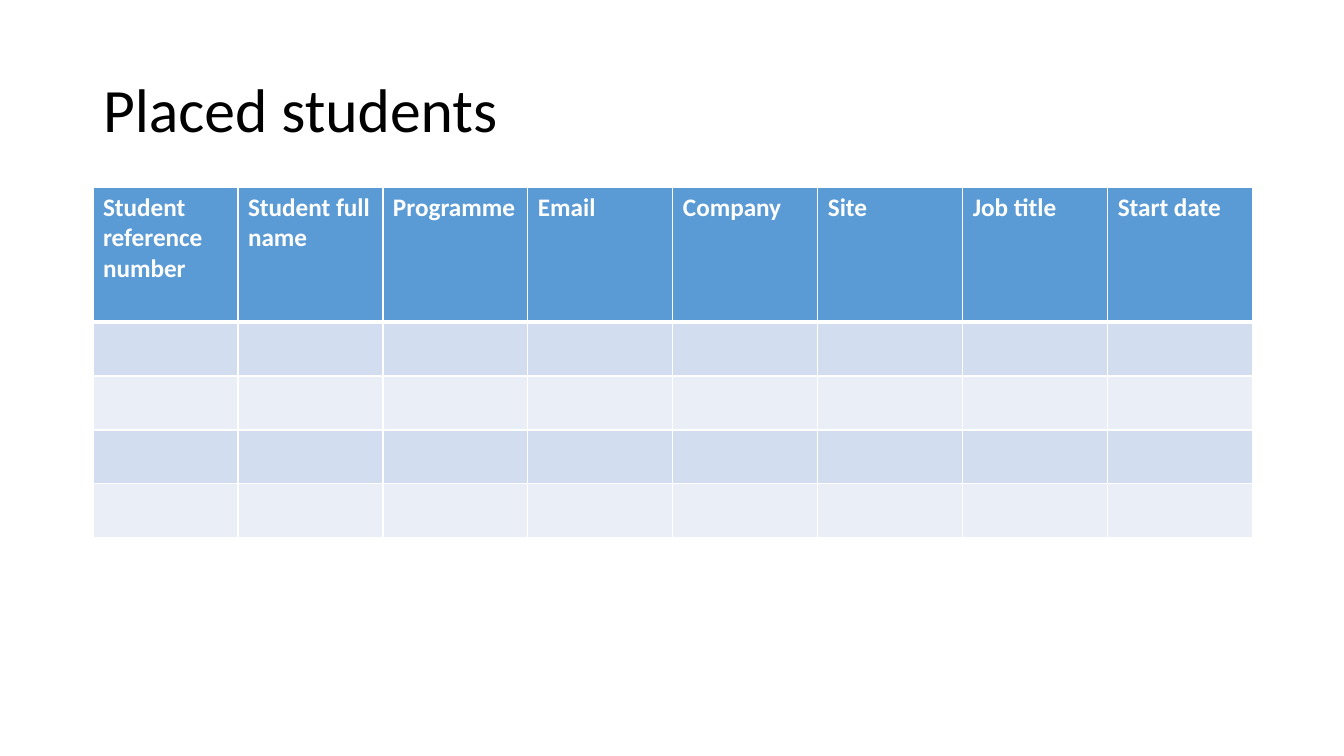
from dataclasses import dataclass

from lxml.etree import SubElement
from pptx import Presentation
from pptx.dml.color import RGBColor
from pptx.enum.text import MSO_ANCHOR, PP_ALIGN
from pptx.oxml.ns import qn
from pptx.slide import Slide
from pptx.table import _Cell
from pptx.text.text import _Paragraph
from pptx.util import Emu, Pt

EMU_PER_PIXEL = 914400 / 100.8


@dataclass(frozen=True)
class Theme:
    """Colours, font and sizes in points."""
    font: str = "Calibri"
    title_size: int = 44
    cell_size: int = 18
    title_ink: str = "000000"
    header_ink: str = "FFFFFF"
    header_fill: str = "5B9BD5"
    band_fills: tuple[str, str] = ("D2DEEF", "EAEFF7")
    border: str = "FFFFFF"
    thin: int = 1
    thick: int = 3


@dataclass(frozen=True)
class Area:
    """A rectangle in pixels."""
    left: int
    top: int
    width: int
    height: int

    def emu(self) -> tuple[Emu, Emu, Emu, Emu]:
        """Return the rectangle in EMU."""
        return (pixels(self.left), pixels(self.top),
                pixels(self.width), pixels(self.height))


@dataclass(frozen=True)
class RowStyle:
    """Height, fill and horizontal border widths of a table row."""
    height: int
    fill: str
    top_line: int
    bottom_line: int


THEME = Theme()
HEADINGS = ("Student reference number", "Student full name", "Programme",
            "Email", "Company", "Site", "Job title", "Start date")
STUDENT_ROWS = 4
COLUMN_WIDTH = 145
HEADER_HEIGHT = 135
STUDENT_HEIGHT = 54
TITLE_AREA = Area(93, 40, 1159, 146)
TABLE_AREA = Area(93, 187, COLUMN_WIDTH * len(HEADINGS),
                  HEADER_HEIGHT + STUDENT_ROWS * STUDENT_HEIGHT)


def pixels(count: int) -> Emu:
    """Turn pixels into EMU."""
    return Emu(round(count * EMU_PER_PIXEL))


def add_span(para: _Paragraph, text: str, size: int, ink: str, bold: bool) -> None:
    """Add one formatted run to a paragraph."""
    span = para.add_run()
    span.text = text
    span.font.name = THEME.font
    span.font.size = Pt(size)
    span.font.bold = bold
    span.font.color.rgb = RGBColor.from_string(ink)


def add_title(page: Slide, text: str) -> None:
    """Place and fill the title placeholder."""
    title = page.shapes.title
    title.left, title.top, title.width, title.height = TITLE_AREA.emu()
    frame = title.text_frame
    frame.word_wrap = True
    frame.vertical_anchor = MSO_ANCHOR.MIDDLE
    para = frame.paragraphs[0]
    para.alignment = PP_ALIGN.LEFT
    para.line_spacing = 0.9
    add_span(para, text, THEME.title_size, THEME.title_ink, False)


def style_cell(cell: _Cell, style: RowStyle) -> None:
    """Give a cell its borders, then its fill."""
    properties = cell._tc.get_or_add_tcPr()
    widths = {"a:lnL": THEME.thin, "a:lnR": THEME.thin,
              "a:lnT": style.top_line, "a:lnB": style.bottom_line}
    for tag, width in widths.items():
        line = SubElement(properties, qn(tag), w=str(Pt(width)))
        paint = SubElement(line, qn("a:solidFill"))
        SubElement(paint, qn("a:srgbClr"), val=THEME.border)
    cell.fill.solid()
    cell.fill.fore_color.rgb = RGBColor.from_string(style.fill)


def row_styles() -> list[RowStyle]:
    """Return the header style followed by the alternating student rows."""
    styles = [RowStyle(HEADER_HEIGHT, THEME.header_fill, THEME.thin, THEME.thick)]
    for index in range(STUDENT_ROWS):
        top_line = THEME.thin if index else THEME.thick
        styles.append(RowStyle(STUDENT_HEIGHT, THEME.band_fills[index % 2],
                               top_line, THEME.thin))
    return styles


def add_student_table(page: Slide) -> None:
    """Draw the table with its headings and empty student rows."""
    styles = row_styles()
    table = page.shapes.add_table(len(styles), len(HEADINGS),
                                  *TABLE_AREA.emu()).table
    for column in table.columns:
        column.width = pixels(COLUMN_WIDTH)
    for row, style in zip(table.rows, styles):
        row.height = pixels(style.height)
        for cell in row.cells:
            style_cell(cell, style)
    for cell, heading in zip(table.rows[0].cells, HEADINGS):
        add_span(cell.text_frame.paragraphs[0], heading,
                 THEME.cell_size, THEME.header_ink, True)


def main() -> None:
    """Build and save the deck."""
    deck = Presentation()
    deck.slide_width, deck.slide_height = pixels(1344), pixels(756)
    page = deck.slides.add_slide(deck.slide_layouts[5])
    add_title(page, "Placed students")
    add_student_table(page)
    deck.save("out.pptx")


main()
